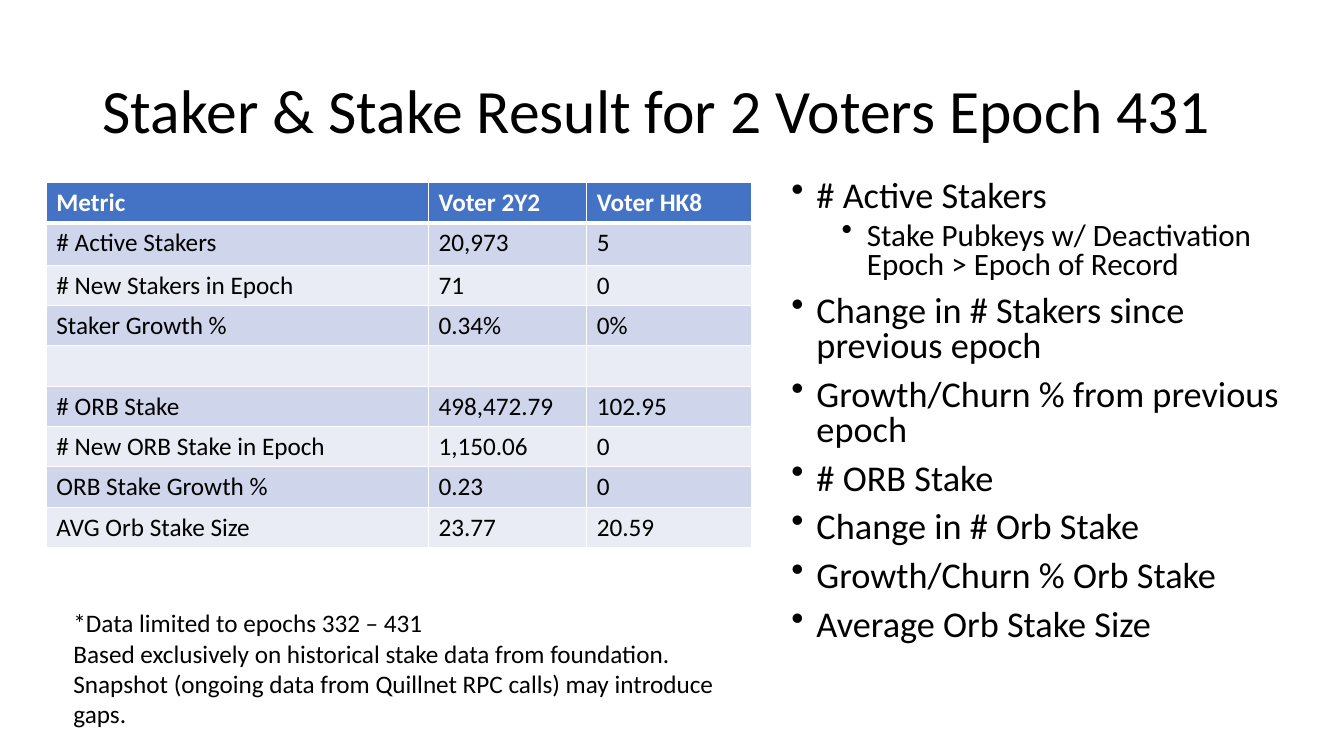
import pptx
import pptx.dml.color
import pptx.enum.text
import pptx.oxml
import pptx.oxml.ns
import pptx.util
from pptx.util import Inches

FONT = "Calibri"
COLORS = {
    "text": "000000",
    "header_text": "FFFFFF",
    "header": "4472C4",
    "odd_row": "CFD5EA",
    "even_row": "E9EBF5",
    "border": "FFFFFF",
}
METRICS = [
    ("Metric", "Voter 2Y2", "Voter HK8"),
    ("# Active Stakers", "20,973", "5"),
    ("# New Stakers in Epoch", "71", "0"),
    ("Staker Growth %", "0.34%", "0%"),
    ("", "", ""),
    ("# ORB Stake", "498,472.79", "102.95"),
    ("# New ORB Stake in Epoch", "1,150.06", "0"),
    ("ORB Stake Growth %", "0.23", "0"),
    ("AVG Orb Stake Size", "23.77", "20.59"),
]
DEFINITIONS = [
    (0, "# Active Stakers"),
    (1, "Stake Pubkeys w/ Deactivation Epoch > Epoch of Record"),
    (0, "Change in # Stakers since previous epoch"),
    (0, "Growth/Churn % from previous epoch"),
    (0, "# ORB Stake"),
    (0, "Change in # Orb Stake"),
    (0, "Growth/Churn % Orb Stake"),
    (0, "Average Orb Stake Size"),
]
FOOTNOTE = [
    "*Data limited to epochs 332 – 431",
    "Based exclusively on historical stake data from foundation. "
    "Snapshot (ongoing data from Quillnet RPC calls) may introduce gaps.",
]


def rgb(name):
    return pptx.dml.color.RGBColor.from_string(COLORS[name])


def style(paragraph, size, color="text", bold=False):
    # The paragraph font also sets the height of an empty line.
    for font in [paragraph.font] + [run.font for run in paragraph.runs]:
        font.name = FONT
        font.size = pptx.util.Pt(size)
        font.bold = bold
        font.color.rgb = rgb(color)


def add_text(slide, box, lines):
    """Add a wrapping text box with one paragraph per line."""
    frame = slide.shapes.add_textbox(*map(Inches, box)).text_frame
    frame.word_wrap = True
    frame.text = "\n".join(lines)
    return frame


def add_title(slide, box):
    frame = add_text(slide, box, ["Staker & Stake Result for 2 Voters Epoch 431"])
    frame.vertical_anchor = pptx.enum.text.MSO_ANCHOR.MIDDLE
    frame.paragraphs[0].line_spacing = 0.9
    style(frame.paragraphs[0], 44)


def set_borders(cell, bottom_width):
    """Draw the cell's four borders, ahead of its fill in the XML."""
    properties = cell._tc.get_or_add_tcPr()
    widths = {"lnL": 1, "lnR": 1, "lnT": 1, "lnB": bottom_width}
    for position, (side, width) in enumerate(widths.items()):
        line = pptx.oxml.parse_xml(
            f'<a:{side} {pptx.oxml.ns.nsdecls("a")} w="{pptx.util.Pt(width)}">'
            f'<a:solidFill><a:srgbClr val="{COLORS["border"]}"/></a:solidFill>'
            f"</a:{side}>"
        )
        properties.insert(position, line)


def add_metrics_table(slide, box):
    table = slide.shapes.add_table(
        len(METRICS), len(METRICS[0]), *map(Inches, box)
    ).table
    for column, width in zip(table.columns, (3.79, 1.57, 1.64)):
        column.width = Inches(width)
    for index, values in enumerate(METRICS):
        is_header = index == 0
        table.rows[index].height = Inches(0.42 if index == 1 else 0.4)
        band = "header" if is_header else "odd_row" if index % 2 else "even_row"
        for cell, value in zip(table.rows[index].cells, values):
            cell.text = value
            style(cell.text_frame.paragraphs[0], 18,
                  "header_text" if is_header else "text", is_header)
            cell.fill.solid()
            cell.fill.fore_color.rgb = rgb(band)
            set_borders(cell, 3 if is_header else 1)


def add_footnote(slide, box):
    for paragraph in add_text(slide, box, FOOTNOTE).paragraphs:
        style(paragraph, 18)


def add_definitions(slide, box):
    frame = add_text(slide, box, [text for _, text in DEFINITIONS])
    for paragraph, (level, _) in zip(frame.paragraphs, DEFINITIONS):
        paragraph.level = level
        paragraph.line_spacing = 0.8
        paragraph.space_before = pptx.util.Pt(5 if level else 10)
        style(paragraph, 22.2 if level else 25.9)
        properties = paragraph._p.get_or_add_pPr()
        properties.set("marL", str(Inches(0.25 + 0.5 * level)))
        properties.set("indent", str(Inches(-0.25)))
        bullet = pptx.oxml.parse_xml(
            f'<a:buChar {pptx.oxml.ns.nsdecls("a")} char="•"/>'
        )
        properties.find(pptx.oxml.ns.qn("a:defRPr")).addprevious(bullet)


def main():
    presentation = pptx.Presentation()
    presentation.slide_width = Inches(13.33)
    presentation.slide_height = Inches(7.5)
    slide = presentation.slides.add_slide(presentation.slide_layouts[6])
    add_title(slide, (0.92, 0.4, 11.5, 1.45))
    add_metrics_table(slide, (0.46, 1.81, 7, 3.63))
    add_footnote(slide, (0.63, 5.98, 6.67, 1.31))
    add_definitions(slide, (7.75, 1.74, 5.2, 4.76))
    presentation.save("out.pptx")


if __name__ == "__main__":
    main()
